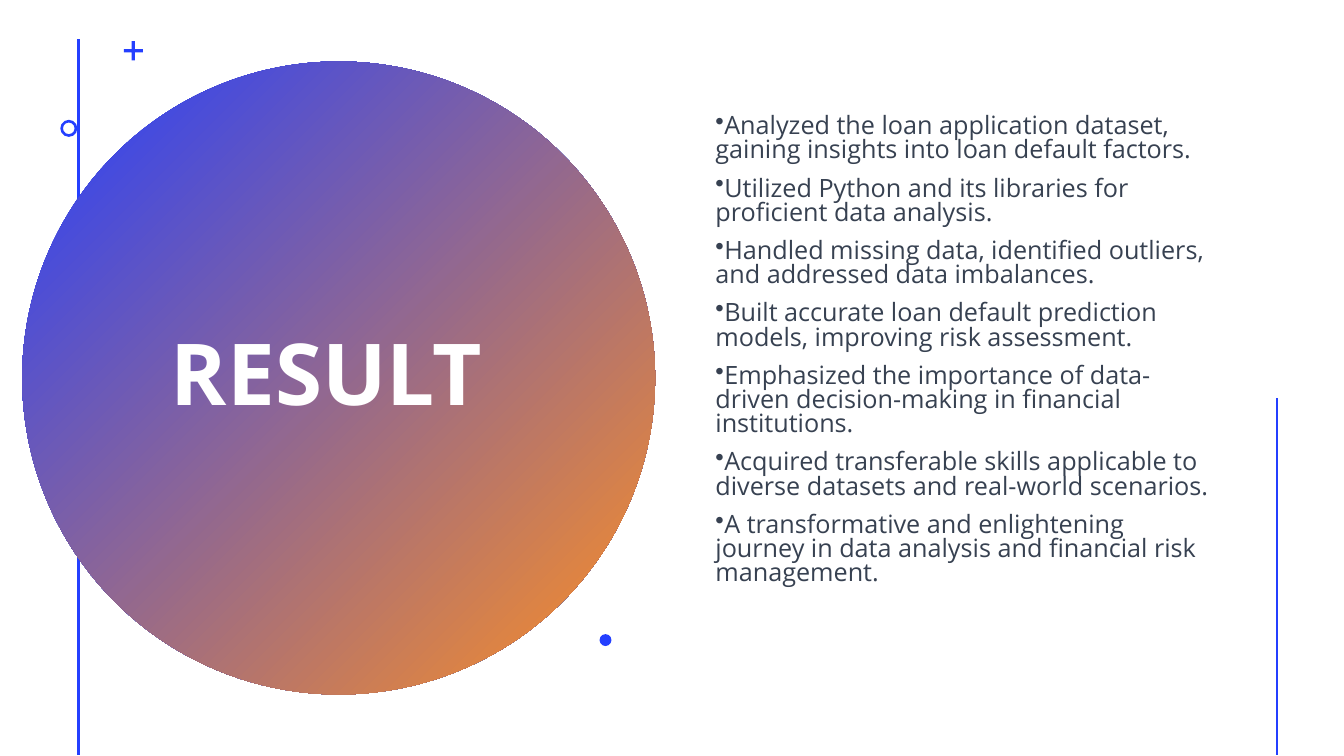
"""Build the RESULT slide: a gradient disc with the title beside a list of findings."""
from lxml.etree import SubElement
from pptx import Presentation
from pptx.dml.color import RGBColor as RGB
from pptx.enum.shapes import MSO_CONNECTOR as CONN, MSO_SHAPE as SHAPE
from pptx.enum.text import MSO_ANCHOR as ANCHOR, PP_ALIGN as ALIGN
from pptx.oxml.ns import qn
from pptx.util import Cm, Pt

TITLE = "RESULT\u00a0".replace("\u00a0", " ")
FINDINGS = [
    "Analyzed the loan application dataset, gaining insights into loan default factors.",
    "Utilized Python and its libraries for proficient data analysis.",
    "Handled missing data, identified outliers, and addressed data imbalances.",
    "Built accurate loan default prediction models, improving risk assessment.",
    "Emphasized the importance of data-driven decision-making in financial institutions.",
    "Acquired transferable skills applicable to diverse datasets and real-world scenarios.",
    "A transformative and enlightening journey in data analysis and financial risk management.",
]
THEME = {
    "blue": RGB.from_string("243FFF"),
    "orange": RGB.from_string("FF9022"),
    "title": {"name": "Open Sans", "size": Pt(61), "bold": True},
    "title_color": RGB.from_string("FFFFFF"),
    "body": {"name": "Open Sans", "size": Pt(18)},
    "body_color": RGB.from_string("374151"),
    "rule": Pt(2),
}
RULES = [(1.98, 0.99), (32.18, 10.03)]
RULE_END = 19.02
DISC = (SHAPE.OVAL, 0.56, 1.55, 15.95, None)
ORNAMENTS = [
    (SHAPE.CROSS, 3.12, 1.04, 0.48, 0.42),
    (SHAPE.DONUT, 1.52, 3.02, 0.43, 0.16),
    (SHAPE.OVAL, 15.11, 15.98, 0.3, None),
]
TITLE_BOX = (3.45, 3.58, 10.13, 11.86)
BODY_BOX = (17.78, 1.07, 13, 15.55)
TITLE_PARA = {"alignment": ALIGN.CENTER, "line_spacing": 0.9}
BODY_PARA = {"alignment": ALIGN.LEFT, "line_spacing": 0.8}
BODY_GAP = Pt(10)


def apply(obj, values):
    """Set every attribute named in values."""
    for name, value in values.items():
        setattr(obj, name, value)


def add_rule(s, x, top):
    """Draw a vertical line from top down to the slide's foot."""
    line = s.shapes.add_connector(CONN.STRAIGHT, Cm(x), Cm(top), Cm(x), Cm(RULE_END))
    line.line.color.rgb = THEME["blue"]
    line.line.width = THEME["rule"]
    SubElement(line._element.spPr, qn("a:effectLst"))


def add_round(s, kind, x, y, size, adjust):
    """Add a plain blue shape as wide as it is high."""
    sp = s.shapes.add_shape(kind, Cm(x), Cm(y), Cm(size), Cm(size))
    sp.shadow.inherit = False
    sp.line.fill.background()
    sp.fill.solid()
    sp.fill.fore_color.rgb = THEME["blue"]
    if adjust is not None:
        sp.adjustments[0] = adjust
    return sp


def add_text(s, box, texts, para, style):
    """Add a vertically centred text box and return its paragraphs."""
    tf = s.shapes.add_textbox(*map(Cm, box)).text_frame
    apply(tf, {"word_wrap": True, "vertical_anchor": ANCHOR.MIDDLE})
    for i, text in enumerate(texts):
        p = tf.add_paragraph() if i else tf.paragraphs[0]
        apply(p, para)
        p.space_before = BODY_GAP if i else Pt(0)
        r = p.add_run()
        r.text = text
        apply(r.font, THEME[style])
        r.font.color.rgb = THEME[style + "_color"]
    return tf.paragraphs


def add_bullet(p):
    """Give the paragraph a hanging bullet."""
    pPr = p._p.get_or_add_pPr()
    pPr.set("marL", "0")
    pPr.set("indent", str(-Cm(0.3)))
    SubElement(pPr, qn("a:buChar")).set("char", "•")


def main():
    prs = Presentation()
    apply(prs, {"slide_width": Cm(33.87), "slide_height": Cm(19.05)})
    s = prs.slides.add_slide(prs.slide_layouts[6])

    for x, top in RULES:
        add_rule(s, x, top)

    disc = add_round(s, *DISC)
    disc.fill.gradient()
    disc.fill.gradient_angle = 315
    for stop, name in zip(disc.fill.gradient_stops, ("blue", "orange")):
        stop.color.rgb = THEME[name]

    for ornament in ORNAMENTS:
        add_round(s, *ornament)

    add_text(s, TITLE_BOX, [TITLE], TITLE_PARA, "title")
    for p in add_text(s, BODY_BOX, FINDINGS, BODY_PARA, "body"):
        add_bullet(p)
    prs.save("out.pptx")


if __name__ == "__main__":
    main()
